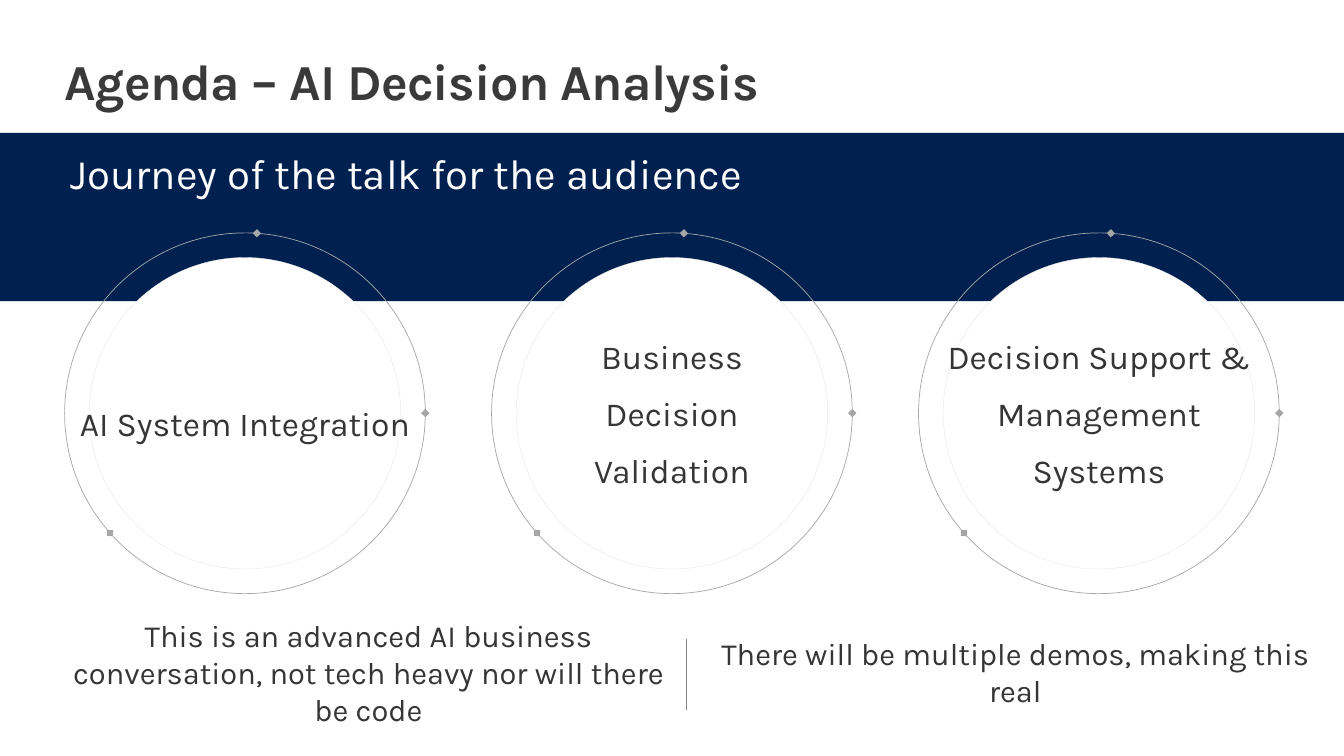
"""Build the agenda slide for the AI decision analysis talk."""
from lxml import etree
from pptx import Presentation
from pptx.dml.color import RGBColor
from pptx.enum.shapes import MSO_CONNECTOR, MSO_SHAPE
from pptx.enum.text import MSO_ANCHOR, PP_ALIGN
from pptx.oxml.ns import qn
from pptx.util import Cm, Pt

LEFT, CENTER = PP_ALIGN.LEFT, PP_ALIGN.CENTER
TOP, MIDDLE = MSO_ANCHOR.TOP, MSO_ANCHOR.MIDDLE
RECTANGLE, OVAL, ARC = MSO_SHAPE.RECTANGLE, MSO_SHAPE.OVAL, MSO_SHAPE.ARC
STRAIGHT = MSO_CONNECTOR.STRAIGHT

FONT = "Karla"
NAVY, WHITE, INK, TITLE_INK = "002050", "FFFFFF", "353535", "3A3A3A"
RING_GREY, DISC_GREY, DIVIDER_GREY = "A6A6A6", "E6E6E6", "808080"

SLIDE_WIDTH, SLIDE_HEIGHT = 33.87, 19.05
MARGIN = 1.63
RING_TOP, RING_SIZE, RING_PITCH = 5.87, 9.09, 10.76
DISC_INSET = 0.62
CAPTION_TOP, CAPTION_HEIGHT, DIVIDER_X = 15.62, 2.62, 17.3

# Start angle, end angle, diamond at the end
RING_SEGMENTS = [
    (156.45, 273.8, True),
    (274.36, 359.95, True),
    (359.66, 138.39, True),
    (138.87, 156.47, False),
]
TOPICS = [
    (["AI System Integration"], 0.5),
    (["Business", "Decision", "Validation"], 0),
    (["Decision Support &", "Management", "Systems"], 0),
]


def rgb(value):
    """Turn a hex string into a colour."""
    return RGBColor.from_string(value)


def set_text(shape, text, size, color=INK, bold=False, align=CENTER, anchor=MIDDLE,
             insets=(0.25, 0.13, 0.25, 0.13), wrap=True, gap=0, tracking=None):
    """Fill a shape with formatted text, one paragraph per line."""
    frame = shape.text_frame
    frame.word_wrap = wrap
    frame.vertical_anchor = anchor
    (frame.margin_left, frame.margin_top,
     frame.margin_right, frame.margin_bottom) = map(Cm, insets)
    frame.text = text
    for index, paragraph in enumerate(frame.paragraphs):
        paragraph.alignment = align
        if index:
            paragraph.space_before = Pt(gap)
        for run in paragraph.runs:
            run.font.name = FONT
            run.font.size = Pt(size)
            run.font.bold = bold
            run.font.color.rgb = rgb(color)
            if tracking is not None:
                run.font._element.set("spc", str(round(tracking * 100)))


def add_text(slide, box, text, **text_format):
    """Add a text box."""
    set_text(slide.shapes.add_textbox(*map(Cm, box)), text, **text_format)


def add_figure(shapes, kind, box, fill=None, line=None, width=0.5):
    """Add a preset shape with its fill and outline."""
    figure = shapes.add_shape(kind, *map(Cm, box))
    figure.shadow.inherit = False
    if fill:
        figure.fill.solid()
        figure.fill.fore_color.rgb = rgb(fill)
    else:
        figure.fill.background()
    if line:
        figure.line.color.rgb = rgb(line)
        figure.line.width = Pt(width)
    else:
        figure.line.fill.background()
    return figure


def add_ring(slide, left):
    """Add a ring of arcs, three of them ending in a diamond."""
    ring = slide.shapes.add_group_shape()
    for start, end, has_diamond in RING_SEGMENTS:
        segment = add_figure(ring.shapes, ARC, (left, RING_TOP, RING_SIZE, RING_SIZE),
                             line=RING_GREY)
        segment.adjustments[0] = start * 0.6
        segment.adjustments[1] = end * 0.6
        if has_diamond:
            outline = segment.line._get_or_add_ln()
            etree.SubElement(outline, qn("a:tailEnd"), type="diamond")


def add_topic(slide, left, lines, top_inset):
    """Add a topic disc and the ring around it."""
    disc_size = RING_SIZE - 2 * DISC_INSET
    disc = add_figure(slide.shapes, OVAL,
                      (left + DISC_INSET, RING_TOP + DISC_INSET, disc_size, disc_size),
                      fill=WHITE, line=DISC_GREY, width=0.25)
    set_text(disc, "\n".join(lines), size=24, gap=12, wrap=False,
             insets=(0, top_inset, 0, 0))
    add_ring(slide, left)


def add_divider(slide, x, top, bottom):
    """Add the vertical line between the captions."""
    divider = slide.shapes.add_connector(STRAIGHT, Cm(x), Cm(top), Cm(x), Cm(bottom))
    divider.line.color.rgb = rgb(DIVIDER_GREY)
    divider.line.width = Pt(0.5)
    etree.SubElement(divider._element.spPr, qn("a:effectLst"))


def main():
    """Build and save the slide."""
    deck = Presentation()
    deck.slide_width, deck.slide_height = Cm(SLIDE_WIDTH), Cm(SLIDE_HEIGHT)
    slide = deck.slides.add_slide(deck.slide_layouts[6])

    add_text(slide, (MARGIN, 1.27, 30.61, 1.55), "Agenda – AI Decision Analysis",
             size=36, color=TITLE_INK, bold=True, align=LEFT, anchor=TOP,
             insets=(0, 0, 0, 0), tracking=-0.5)
    band = add_figure(slide.shapes, RECTANGLE, (0, 3.35, SLIDE_WIDTH, 4.24), fill=NAVY)
    set_text(band, "Journey of the talk for the audience", size=30, color=WHITE,
             align=LEFT, anchor=TOP, insets=(1.78, 0.38, 0.25, 0.13))

    for index, (lines, top_inset) in enumerate(TOPICS):
        add_topic(slide, MARGIN + index * RING_PITCH, lines, top_inset)

    add_text(slide, (0, CAPTION_TOP, DIVIDER_X, CAPTION_HEIGHT),
             "This is an advanced AI business conversation, "
             "not tech heavy nor will there be code",
             size=22, insets=(1.52, 0.13, 0.25, 0.13))
    add_text(slide, (DIVIDER_X, CAPTION_TOP, SLIDE_WIDTH - DIVIDER_X, CAPTION_HEIGHT),
             "There will be multiple demos, making this real", size=22)
    add_divider(slide, DIVIDER_X, 16.1, 17.88)

    deck.save("out.pptx")


if __name__ == "__main__":
    main()
